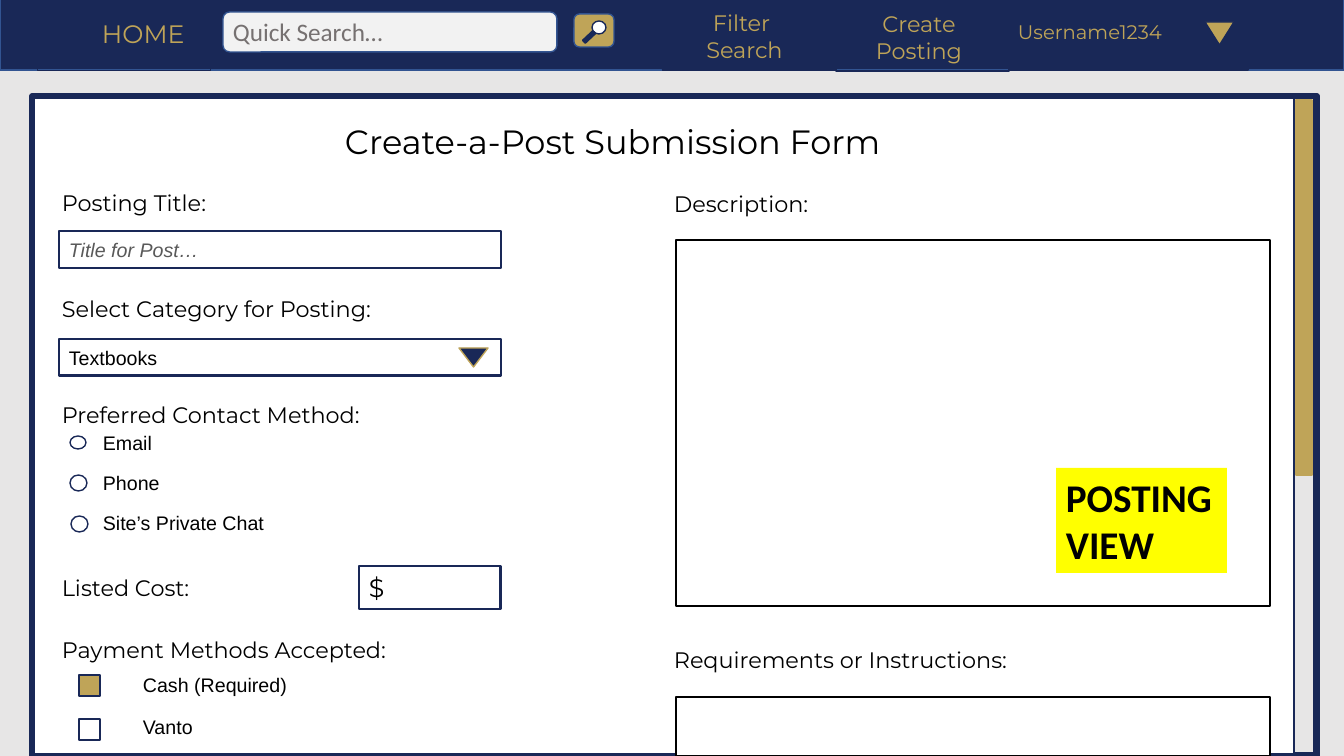
from pptx import Presentation
from pptx.dml.color import RGBColor
from pptx.enum.shapes import MSO_SHAPE
from pptx.enum.text import MSO_ANCHOR, MSO_AUTO_SIZE, PP_ALIGN
from pptx.util import Emu, Pt

RECT = MSO_SHAPE.RECTANGLE
ROUNDED = MSO_SHAPE.ROUNDED_RECTANGLE
OVAL = MSO_SHAPE.OVAL
TRIANGLE = MSO_SHAPE.ISOSCELES_TRIANGLE
EXTRACT = MSO_SHAPE.FLOWCHART_EXTRACT
LEFT, CENTER = PP_ALIGN.LEFT, PP_ALIGN.CENTER
TOP, MIDDLE = MSO_ANCHOR.TOP, MSO_ANCHOR.MIDDLE
GROW = MSO_AUTO_SIZE.SHAPE_TO_FIT_TEXT

NAVY = RGBColor(0x19, 0x28, 0x57)
BLUE = RGBColor(0x32, 0x54, 0x91)
GOLD = RGBColor(0xBF, 0xA4, 0x58)
WHITE = RGBColor(0xFF, 0xFF, 0xFF)
BLACK = RGBColor(0x00, 0x00, 0x00)
YELLOW = RGBColor(0xFF, 0xFF, 0x00)
BACKDROP = RGBColor(0xE7, 0xE6, 0xE6)
SEARCH_FILL = RGBColor(0xF2, 0xF2, 0xF2)
SEARCH_TEXT = RGBColor(0x76, 0x71, 0x71)
HINT = RGBColor(0x59, 0x59, 0x59)

DISPLAY, BODY, PLAIN = "Montserrat", "Arial", "Calibri"
WIDTH, HEIGHT = 1344, 756
SCALE = 12192000 / WIDTH


def px(length):
    return Emu(round(length * SCALE))


def place(frame):
    return [px(length) for length in frame]


def draw(shapes, kind, frame, fill, line, weight=1, rotation=0):
    shape = shapes.add_shape(kind, *place(frame))
    shape.shadow.inherit = False
    shape.rotation = rotation
    if fill is None:
        shape.fill.background()
    else:
        shape.fill.solid()
        shape.fill.fore_color.rgb = fill
    if line is None:
        shape.line.fill.background()
    else:
        shape.line.color.rgb = line
        shape.line.width = Pt(weight)
    return shape


def write(box, words, size, font, color, align=LEFT, bold=False, italic=False):
    box.text_frame.word_wrap = True
    box.text_frame.text = words
    for para in box.text_frame.paragraphs:
        para.alignment = align
        for span in para.runs:
            span.font.size = Pt(size)
            span.font.name = font
            span.font.color.rgb = color
            span.font.bold = bold
            span.font.italic = italic


def label(shapes, frame, words, size=16, font=DISPLAY, color=BLACK, align=LEFT):
    box = shapes.add_textbox(*place(frame))
    write(box, words, size, font, color, align)
    box.text_frame.auto_size = GROW


def field(shapes, frame, words, size=14, font=BODY, color=BLACK, italic=False):
    box = draw(shapes, RECT, frame, WHITE, NAVY, 2)
    box.text_frame.vertical_anchor = MIDDLE
    write(box, words, size, font, color, italic=italic)


def add_headings(shapes):
    label(shapes, (335, 116, 605, 50), "Create-a-Post Submission Form", 24)
    for left, top, words in (
        (52, 184, "Posting Title:"),
        (52, 290, "Select Category for Posting:"),
        (52, 396, "Preferred Contact Method:"),
        (52, 569, "Listed Cost:"),
        (52, 631, "Payment Methods Accepted:"),
        (664, 185, "Description:"),
        (664, 641, "Requirements or Instructions:"),
    ):
        label(shapes, (left, top, 522, 37), words)


def add_inputs(shapes):
    field(shapes, (59, 231, 442, 37), "Title for Post…", color=HINT, italic=True)
    dropdown = shapes.add_group_shape().shapes
    field(dropdown, (59, 339, 442, 37), "Textbooks")
    draw(dropdown, EXTRACT, (459, 348, 29, 19), NAVY, GOLD, rotation=180)
    field(shapes, (359, 566, 142, 43), "$", 18, DISPLAY)
    for top, height in ((240, 366), (697, 59)):
        draw(shapes, RECT, (676, top, 594, height), WHITE, BLACK, 2)


def add_choices(shapes):
    radios = (
        ("Email", (70, 436, 16, 13)),
        ("Phone", (70, 475, 17, 16)),
        ("Site’s Private Chat", (71, 516, 17, 16)),
    )
    for index, (words, frame) in enumerate(radios):
        draw(shapes, OVAL, frame, WHITE, NAVY)
        label(shapes, (93, 426 + 40 * index, 300, 34), words, 14, BODY)
    checks = (("Cash (Required)", GOLD), ("Vanto", WHITE))
    for index, (words, fill) in enumerate(checks):
        draw(shapes, RECT, (79, 675 + 44 * index, 21, 21), fill, NAVY, 2)
        label(shapes, (133, 668 + 42 * index, 300, 34), words, 14, BODY)


def add_view_tag(shapes):
    tag = draw(shapes, RECT, (1056, 468, 171, 105), YELLOW, None)
    tag.text_frame.vertical_anchor = TOP
    write(tag, "POSTING VIEW", 28, PLAIN, BLACK, bold=True)
    tag.text_frame.auto_size = GROW


def add_scrollbar(shapes):
    scrollbar = shapes.add_group_shape().shapes
    draw(scrollbar, RECT, (1294, 98, 20, 655), BACKDROP, NAVY, 2)
    draw(scrollbar, RECT, (1296, 100, 16, 375), GOLD, GOLD)


def add_navigation(shapes):
    bar = shapes.add_group_shape().shapes
    draw(bar, RECT, (0, -1, WIDTH, 71), NAVY, BLUE)
    draw(bar, ROUNDED, (223, 12, 334, 40), SEARCH_FILL, BLUE)
    label(bar, (223, 11, 300, 40), "Quick Search…", 18, PLAIN, SEARCH_TEXT)
    draw(bar, ROUNDED, (574, 14, 40, 33), GOLD, BLUE)
    draw(bar, OVAL, (592, 21, 14, 13), WHITE, NAVY)
    draw(bar, RECT, (587, 30, 4, 14), NAVY, NAVY, rotation=46.7)
    for frame, fill, weight in (
        ((37, -1, 173, 71), None, 0.25),
        ((662, 0, 173, 70), NAVY, 0.5),
        ((836, 0, 173, 71), None, 1),
        ((1010, 1, 238, 69), None, 2),
    ):
        draw(bar, RECT, frame, fill, NAVY, weight)
    for frame, words, size, align in (
        ((92, 13, 111, 40), "HOME", 18, LEFT),
        ((673, 4, 143, 65), "Filter \nSearch", 16, CENTER),
        ((840, 5, 158, 65), "Create Posting", 16, CENTER),
        ((1008, 15, 184, 34), "Username1234", 14, LEFT),
    ):
        label(bar, frame, words, size, color=GOLD, align=align)
    draw(bar, TRIANGLE, (1205, 22, 29, 23), GOLD, NAVY, rotation=180)


def main():
    deck = Presentation()
    deck.slide_width, deck.slide_height = px(WIDTH), px(HEIGHT)
    page = deck.slides.add_slide(deck.slide_layouts[6])
    page.background.fill.solid()
    page.background.fill.fore_color.rgb = BACKDROP
    shapes = page.shapes
    draw(shapes, RECT, (32, 96, 1285, 660), WHITE, NAVY, 4)
    add_headings(shapes)
    add_inputs(shapes)
    add_choices(shapes)
    add_view_tag(shapes)
    add_scrollbar(shapes)
    add_navigation(shapes)
    deck.save("out.pptx")


if __name__ == "__main__":
    main()
